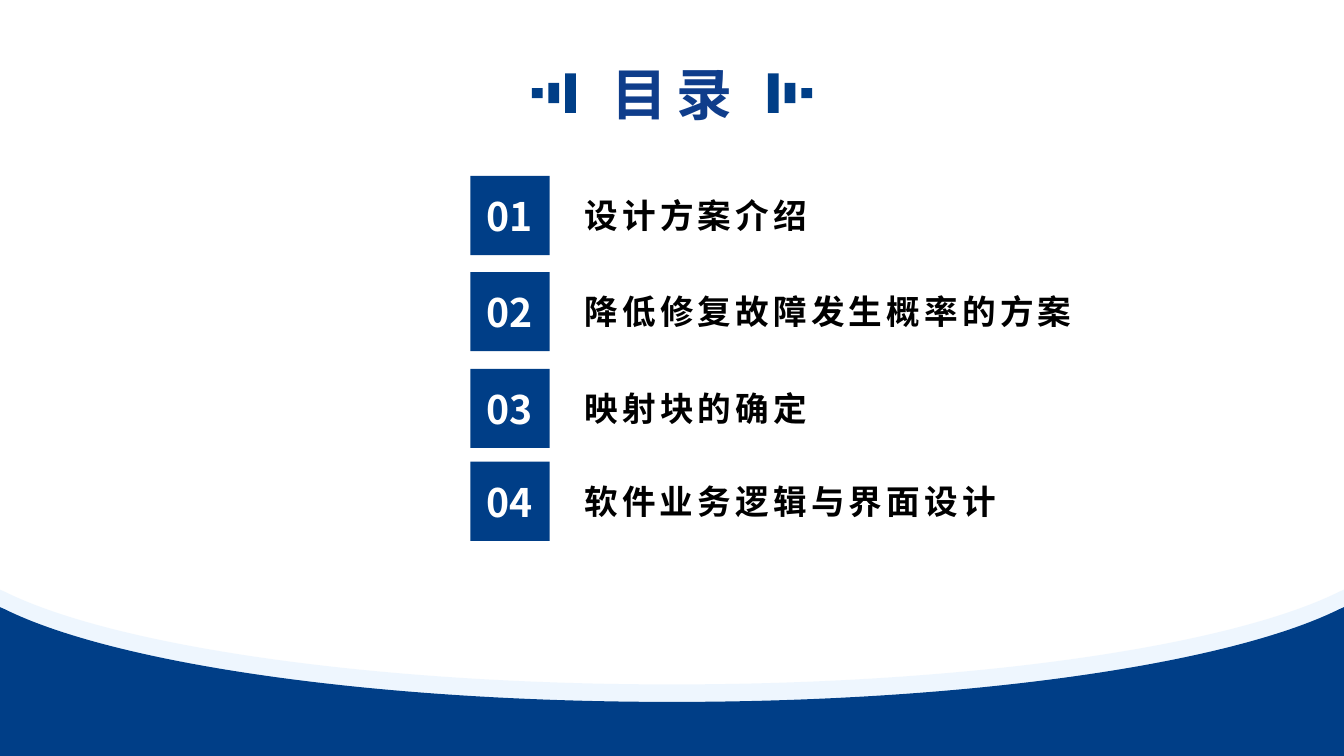
from pptx import Presentation
from pptx.util import Pt
from pptx.dml.color import RGBColor
from pptx.enum.shapes import MSO_SHAPE as Shape
from pptx.enum.text import MSO_ANCHOR as Anchor, MSO_AUTO_SIZE as Auto, PP_ALIGN as Align
from pptx.oxml.ns import qn
from lxml.etree import SubElement as add_sub

FONT = "Noto Sans CJK SC"
NAVY = "003E87"
WIDE, HIGH = 960, 540


def paint(shape, color):
    """Give a solid fill with no line or shadow."""
    shape.shadow.inherit = False
    shape.fill.solid()
    shape.fill.fore_color.rgb = RGBColor.from_string(color)
    shape.line.fill.background()


def write(frame, text, size, color, align, gap=0):
    """Add one bold run; gap is the letter spacing in points."""
    para = frame.paragraphs[0]
    para.alignment = align
    run = para.add_run()
    run.text = text
    run.font.size = Pt(size)
    run.font.bold = True
    run.font.name = FONT
    run.font.color.rgb = RGBColor.from_string(color)
    props = run.font._element
    add_sub(props, qn("a:ea")).set("typeface", FONT)
    if gap:
        props.set("spc", str(gap * 100))


prs = Presentation()
prs.slide_width, prs.slide_height = Pt(WIDE), Pt(HIGH)
slide = prs.slides.add_slide(prs.slide_layouts[6])
shapes = slide.shapes

# Waves: two line segments become curves through these handles
outline = [(0, 421.2), (3.6, 422.8), (480, 488.9), (956.4, 422.8),
           (960, 421.2), (960, 527.5), (0, 527.5)]
bends = {1: [(82, 461.5), (265.7, 488.9)], 2: [(694.3, 488.9), (878, 461.5)]}

for drop, color in [(0, "AED6FD"), (12.5, NAVY)]:
    points = [(Pt(x), Pt(y + drop)) for x, y in outline]
    pen = shapes.build_freeform(*points[0], scale=1.0)
    pen.add_line_segments(points[1:], close=True)
    wave = pen.convert_to_shape()
    paint(wave, color)
    lines = list(wave._element.iter(qn("a:lnTo")))
    for i, grips in bends.items():
        line = lines[i]
        line.tag = qn("a:cubicBezTo")
        for spot, (x, y) in enumerate(grips):
            grip = add_sub(line, qn("a:pt"))
            grip.set("x", str(Pt(x) - wave.left))
            grip.set("y", str(Pt(y + drop) - wave.top))
            line.insert(spot, grip)
    if drop == 0:
        tint = wave.fill._xPr.find(qn("a:solidFill"))[0]
        add_sub(tint, qn("a:alpha")).set("val", "20000")

# Title between two sets of bars
title = shapes.add_textbox(Pt(426.4), Pt(38.9), Pt(107.3), Pt(55.4)).text_frame
title.word_wrap = False
title.auto_size = Auto.SHAPE_TO_FIT_TEXT
write(title, "目录", 40, "0F3D8B", Align.CENTER, 6)

bar = 7.7
for right in (False, True):
    group = shapes.add_group_shape().shapes
    for i, tall in enumerate([28.2, 14.4, 7.2]):
        left = 403.7 - i * 11.9
        x = WIDE - left - bar if right else left
        paint(group.add_shape(Shape.RECTANGLE, Pt(x), Pt(66.5 - tall / 2),
                              Pt(bar), Pt(tall)), NAVY)

# Contents
items = [
    (125.7, 176.4, "设计方案介绍"),
    (194.3, 365.8, "降低修复故障发生概率的方案"),
    (263.4, 176.4, "映射块的确定"),
    (329.8, 311.8, "软件业务逻辑与界面设计"),
]
for num, (top, width, name) in enumerate(items, 1):
    group = shapes.add_group_shape().shapes
    label = group.add_textbox(Pt(410.4), Pt(top + 10.1), Pt(width), Pt(36)).text_frame
    label.word_wrap = False
    label.auto_size = Auto.SHAPE_TO_FIT_TEXT
    write(label, name, 24, "000000", Align.LEFT, 3)

    box = group.add_shape(Shape.RECTANGLE, Pt(336), Pt(top), Pt(56.6), Pt(56.6))
    paint(box, NAVY)
    box.text_frame.vertical_anchor = Anchor.MIDDLE
    write(box.text_frame, f"{num:02}", 28, "FFFFFF", Align.CENTER)

prs.save("out.pptx")
